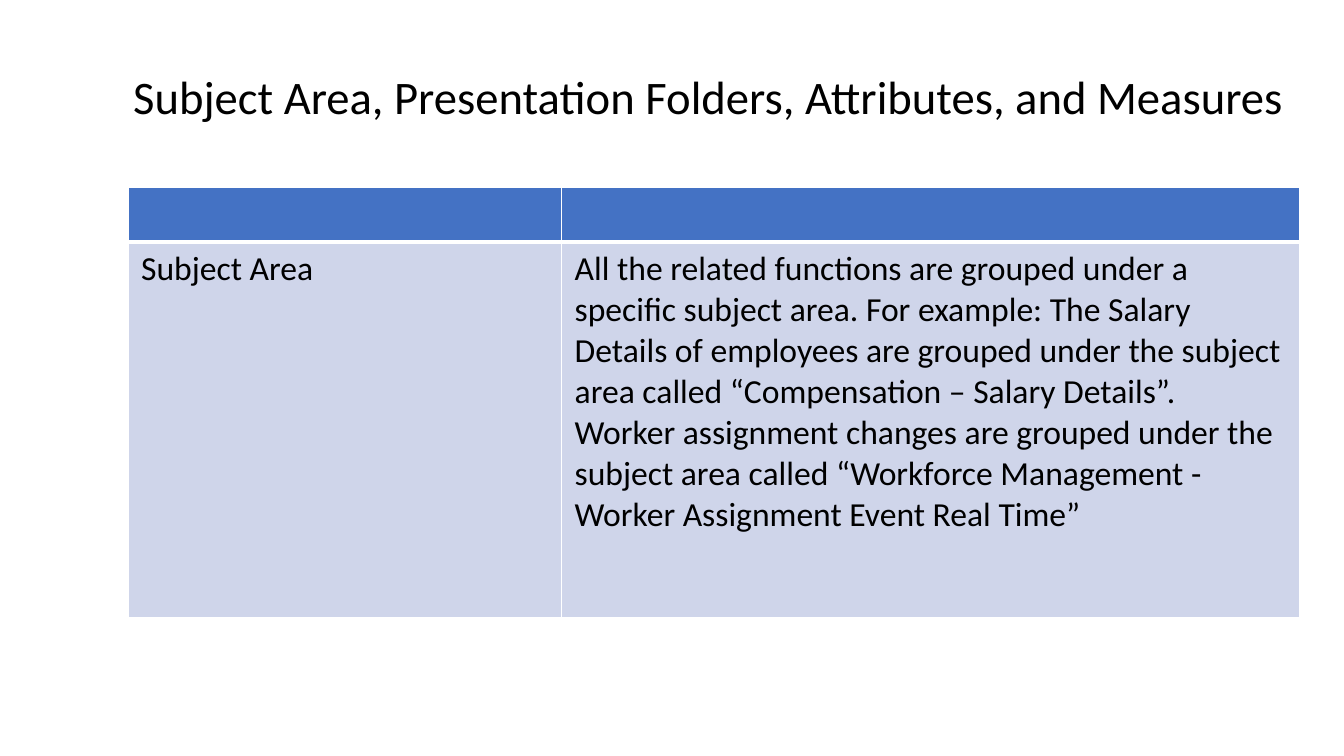
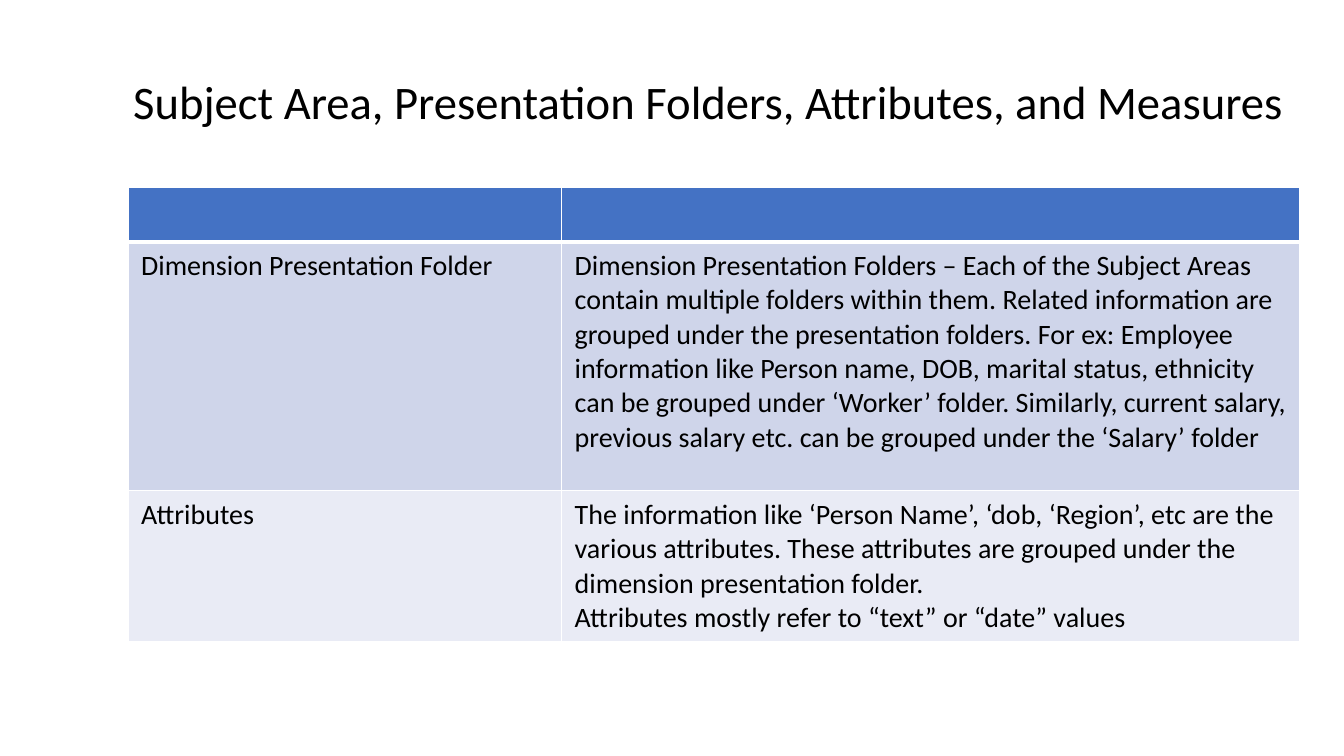
from dataclasses import dataclass

from lxml.etree import SubElement
from pptx import Presentation
from pptx.dml.color import RGBColor
from pptx.enum.text import MSO_ANCHOR, MSO_AUTO_SIZE, PP_ALIGN
from pptx.oxml.ns import qn
from pptx.util import Inches, Pt

COLOURS = {
    "text": "000000",
    "border": "FFFFFF",
    "header": "4472C4",
    "band_dark": "CFD5EA",
    "band_light": "E9EBF5",
}
FONT = "Calibri"
TITLE = "Subject Area, Presentation Folders, Attributes, and Measures"
TITLE_SIZE = 33.3
TITLE_LEFT, TITLE_WIDTH, TITLE_BOTTOM = 1.22, 12.03, 1.41
TABLE_LEFT, TABLE_TOP = 1.27, 1.86
COLUMN_WIDTHS = (4.3, 7.32)
HEADER_HEIGHT = 0.54
MARGIN_X, MARGIN_Y = 0.13, 0.07
THIN, THICK = 1, 3
TITLE_ONLY_LAYOUT = 5


@dataclass(frozen=True)
class Definition:
    term: str
    paragraphs: tuple[str, ...]
    height: float


@dataclass(frozen=True)
class DefinitionSlide:
    title_top: float
    text_size: float
    definitions: tuple[Definition, ...]


SLIDES = (
    DefinitionSlide(0.57, 24, (
        Definition("Subject Area", (
            "All the related functions are grouped under a specific subject area. "
            "For example: The Salary Details of employees are grouped under the "
            "subject area called “Compensation – Salary Details”.",
            "Worker assignment changes are grouped under the subject area called "
            "“Workforce Management - Worker Assignment Event Real Time”",
        ), 3.73),
    )),
    DefinitionSlide(0.66, 20, (
        Definition("Dimension Presentation Folder", (
            "Dimension Presentation Folders – Each of the Subject Areas contain "
            "multiple folders within them. Related information are grouped under "
            "the presentation folders. For ex: Employee information like Person "
            "name, DOB, marital status, ethnicity can be grouped under ‘Worker’ "
            "folder. Similarly, current salary, previous salary etc. can be "
            "grouped under the ‘Salary’ folder",
        ), 2.47),
        Definition("Attributes", (
            "The information like ‘Person Name’, ‘dob, ‘Region’, etc are the "
            "various attributes. These attributes are grouped under the dimension "
            "presentation folder.",
            "Attributes mostly refer to “text” or “date” values",
        ), 1.47),
    )),
)


def add_run(paragraph, text: str, size: float) -> None:
    run = paragraph.add_run()
    run.text = text
    run.font.name = FONT
    run.font.size = Pt(size)
    run.font.bold = False
    run.font.color.rgb = RGBColor.from_string(COLOURS["text"])


def add_title(slide, top: float) -> None:
    title = slide.shapes.title
    title.left, title.top = Inches(TITLE_LEFT), Inches(top)
    title.width, title.height = Inches(TITLE_WIDTH), Inches(TITLE_BOTTOM - top)
    frame = title.text_frame
    frame.word_wrap = True
    frame.auto_size = MSO_AUTO_SIZE.NONE
    frame.vertical_anchor = MSO_ANCHOR.MIDDLE
    paragraph = frame.paragraphs[0]
    paragraph.alignment = PP_ALIGN.LEFT
    paragraph.line_spacing = 0.9
    add_run(paragraph, TITLE, TITLE_SIZE)


def set_borders(cell, top: float, bottom: float) -> None:
    properties = cell._tc.get_or_add_tcPr()
    for side, width in (("L", THIN), ("R", THIN), ("T", top), ("B", bottom)):
        line = SubElement(properties, qn(f"a:ln{side}"), w=str(Pt(width)))
        fill = SubElement(line, qn("a:solidFill"))
        SubElement(fill, qn("a:srgbClr"), val=COLOURS["border"])


def style_cell(cell, row: int) -> None:
    """Give a cell its margins, borders and the fill of its band."""
    cell.margin_left = cell.margin_right = Inches(MARGIN_X)
    cell.margin_top = cell.margin_bottom = Inches(MARGIN_Y)
    set_borders(cell, THICK if row == 1 else THIN, THICK if row == 0 else THIN)
    band = "header" if row == 0 else ("band_light", "band_dark")[row % 2]
    cell.fill.solid()
    cell.fill.fore_color.rgb = RGBColor.from_string(COLOURS[band])


def write_cell(cell, paragraphs: tuple[str, ...], size: float) -> None:
    frame = cell.text_frame
    for index, text in enumerate(paragraphs):
        paragraph = frame.add_paragraph() if index else frame.paragraphs[0]
        add_run(paragraph, text, size)


def add_definition_table(slide, content: DefinitionSlide) -> None:
    heights = [HEADER_HEIGHT, *(item.height for item in content.definitions)]
    table = slide.shapes.add_table(
        len(heights), len(COLUMN_WIDTHS), Inches(TABLE_LEFT), Inches(TABLE_TOP),
        Inches(sum(COLUMN_WIDTHS)), Inches(sum(heights)),
    ).table
    for column, width in zip(table.columns, COLUMN_WIDTHS):
        column.width = Inches(width)
    for index, (row, height) in enumerate(zip(table.rows, heights)):
        row.height = Inches(height)
        for cell in row.cells:
            style_cell(cell, index)
    for index, item in enumerate(content.definitions, start=1):
        write_cell(table.cell(index, 0), (item.term,), content.text_size)
        write_cell(table.cell(index, 1), item.paragraphs, content.text_size)


def main() -> None:
    presentation = Presentation()
    presentation.slide_width = Inches(13.33)
    presentation.slide_height = Inches(7.5)
    layout = presentation.slide_layouts[TITLE_ONLY_LAYOUT]
    for content in SLIDES:
        slide = presentation.slides.add_slide(layout)
        add_definition_table(slide, content)
        add_title(slide, content.title_top)
    presentation.save("out.pptx")


if __name__ == "__main__":
    main()
